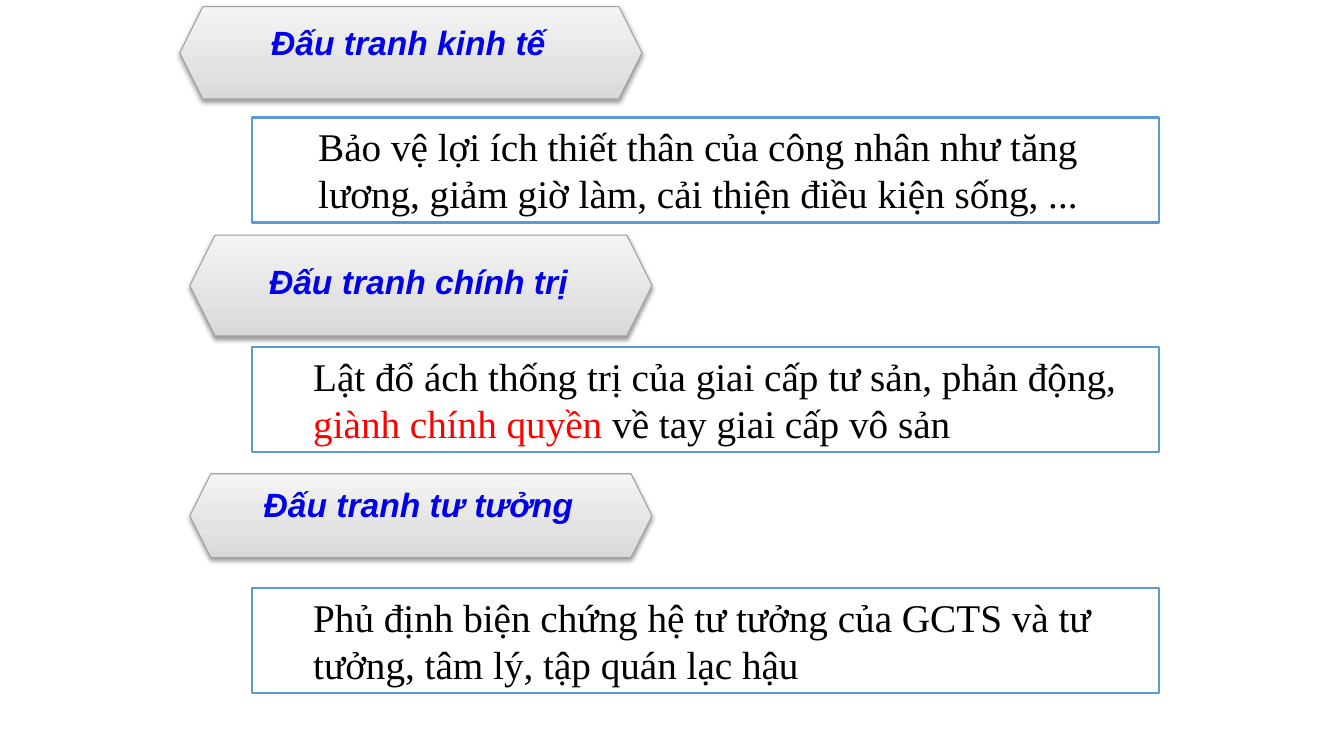
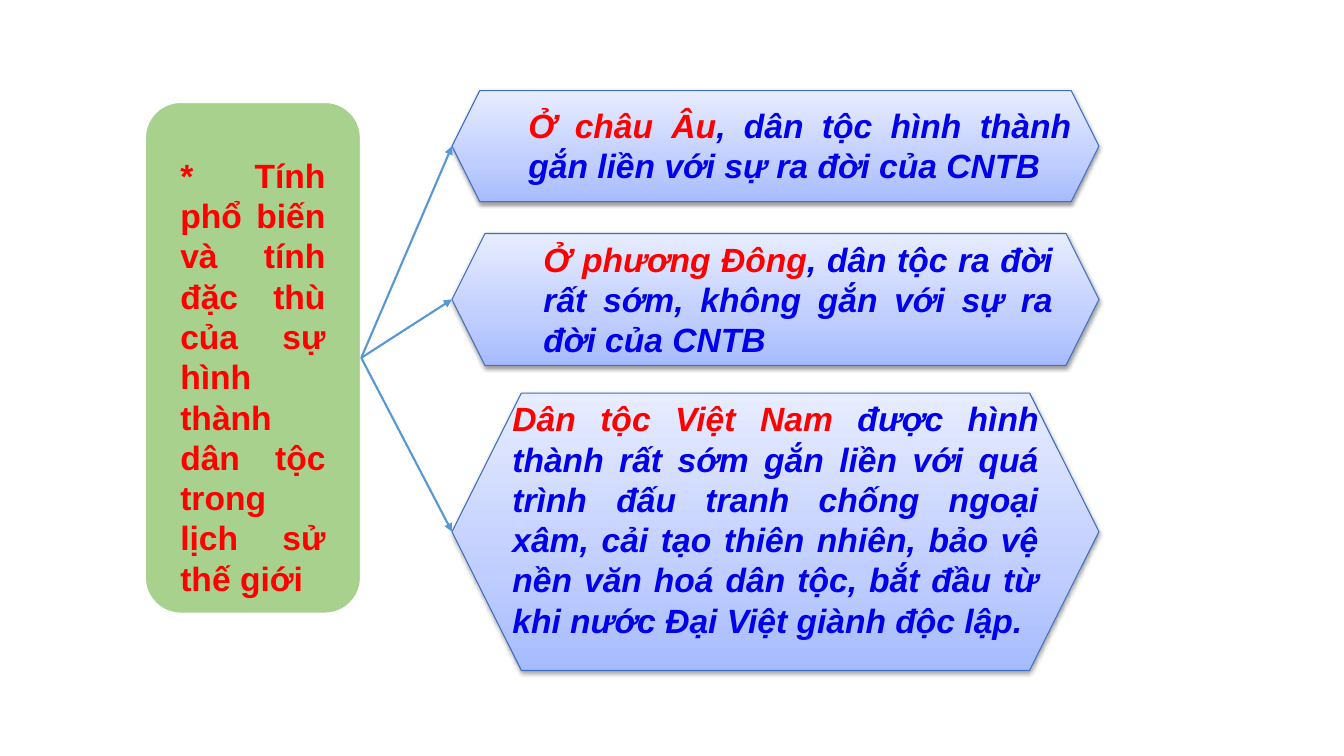
from copy import deepcopy

from lxml.etree import SubElement
from pptx import Presentation
from pptx.dml.color import RGBColor
from pptx.enum.shapes import MSO_CONNECTOR, MSO_SHAPE
from pptx.enum.text import MSO_ANCHOR, PP_ALIGN
from pptx.oxml.ns import qn
from pptx.util import Emu, Inches, Pt

COLS, ROWS = 160, 90  # square grid cells across and down the slide
WIDTH, HEIGHT = Inches(13.33), Inches(7.5)
CELL = HEIGHT / ROWS

COLORS = {
    "black": "000000", "red": "FF0000", "blue": "0000EA", "white": "FFFFFF",
    "frame": "5B9BD5", "arrow": "5698D3", "panel": "A9D18E",
}
HEXAGONS = {
    "gray": {"stops": ((0, "D8D8D8"), (0.35, "E3E3E3"), (1, "F4F4F4")), "line": "A1A1A1"},
    "blue": {"stops": ((0, "A6BBFF"), (0.35, "C0CEFF"), (1, "E7ECFF")), "line": "3F6FC3"},
}
DETAIL = {"name": "Times New Roman", "size": Pt(28)}
PANEL = {"name": "Arial", "size": Pt(24), "bold": True}
HEADING = {**PANEL, "italic": True}

STRUGGLES = [  # hexagon box, label drop, heading, detail top, detail indent, detail runs
    ((21.4, 0.8, 55, 11), 1.2, "Đấu tranh kinh tế", 14, 6.7,
     [("Bảo vệ lợi ích thiết thân của công nhân như tăng lương, giảm giờ làm, "
       "cải thiện điều kiện sống, ...", "black")]),
    ((22.6, 28, 55, 12), 2.5, "Đấu tranh chính trị", 41.3, 6.1,
     [("Lật đổ ách thống trị của giai cấp tư sản, phản động, ", "black"),
      ("giành chính quyền ", "red"), ("về tay giai cấp vô sản", "black")]),
    ((22.6, 56.4, 55, 10), 0.6, "Đấu tranh tư tưởng", 70, 6.1,
     [("Phủ định biện chứng hệ tư tưởng của GCTS và tư tưởng, tâm lý, "
       "tập quán lạc hậu", "black")]),
]
NATION_FEATURE = ("* Tính phổ biến và tính đặc thù của sự hình thành dân tộc "
                  "trong lịch sử thế giới")
REGIONS = [  # hexagon top, height, text offset and width, runs
    (10.8, 13.2, (7.9, 1.1, 67),
     [("Ở châu Âu", "red"),
      (", dân tộc hình thành gắn liền với sự ra đời của CNTB", "blue")]),
    (27.8, 15.7, (9.7, 0, 63),
     [("Ở phương Đông", "red"),
      (", dân tộc ra đời rất sớm, không gắn với sự ra đời của CNTB", "blue")]),
    (46.8, 33, (6, 0, 65),
     [("Dân tộc Việt Nam ", "red"),
      ("được hình thành rất sớm gắn liền với quá trình đấu tranh chống ngoại xâm, "
       "cải tạo thiên nhiên, bảo vệ nền văn hoá dân tộc, bắt đầu từ khi nước "
       "Đại Việt giành độc lập.", "blue")]),
]


def cells(*lengths):
    return [Emu(round(n * CELL)) for n in lengths]


def rgb(name):
    return RGBColor.from_string(COLORS.get(name, name))


def set_line(sp, color, width):
    sp.line.color.rgb = rgb(color)
    sp.line.width = Pt(width)


def write(sp, runs, style, align, indent=0):
    """Fill a shape with one paragraph of (text, colour) runs."""
    tf = sp.text_frame
    tf.word_wrap = True
    p = tf.paragraphs[0]
    p.alignment = align
    if indent:
        p._p.get_or_add_pPr().set("marL", str(cells(indent)[0]))
    for text, color in runs:
        r = p.add_run()
        r.text = text
        for key, value in style.items():
            setattr(r.font, key, value)
        r.font.color.rgb = rgb(color)


def add_label(slide, box, runs, align):
    write(slide.shapes.add_textbox(*cells(*box)), runs, HEADING, align)


def add_hexagon(slide, box, look):
    """Hexagon with a three-stop vertical gradient and a soft drop shadow."""
    sp = slide.shapes.add_shape(MSO_SHAPE.HEXAGON, *cells(*box))
    set_line(sp, look["line"], 0.75)
    sp.fill.gradient()
    sp.fill.gradient_angle = 90
    spPr = sp._element.spPr
    stops = spPr.find(qn("a:gradFill")).find(qn("a:gsLst"))
    stops.insert(1, deepcopy(stops[0]))
    for stop, (position, color) in zip(sp.fill.gradient_stops, look["stops"]):
        stop.position = position
        stop.color.rgb = rgb(color)
    sp.shadow.inherit = False
    shadow = SubElement(spPr.find(qn("a:effectLst")), qn("a:outerShdw"), blurRad="40000",
                        dist="20000", dir="5400000", rotWithShape="0")
    color = SubElement(shadow, qn("a:srgbClr"), val=COLORS["black"])
    SubElement(color, qn("a:alpha"), val="38000")


def add_detail(slide, box, runs, indent):
    sp = slide.shapes.add_shape(MSO_SHAPE.RECTANGLE, *cells(*box))
    sp.shadow.inherit = False
    sp.fill.background()
    set_line(sp, "frame", 1.5)
    sp.text_frame.vertical_anchor = MSO_ANCHOR.TOP
    write(sp, runs, DETAIL, PP_ALIGN.LEFT, indent)


def add_panel(slide, box):
    sp = slide.shapes.add_shape(MSO_SHAPE.ROUNDED_RECTANGLE, *cells(*box))
    sp.shadow.inherit = False
    sp.fill.solid()
    sp.fill.fore_color.rgb = rgb("panel")
    set_line(sp, "white", 2)
    tf = sp.text_frame
    margins = dict(zip(("left", "top", "right", "bottom"), cells(3, 4.4, 3, 0)))
    for side, margin in margins.items():
        setattr(tf, f"margin_{side}", margin)
    tf.vertical_anchor = MSO_ANCHOR.MIDDLE
    write(sp, [(NATION_FEATURE, "red")], PANEL, PP_ALIGN.JUSTIFY)
    return sp


def add_arrow(slide, panel, x, y):
    """Arrow from the right side of the panel to a grid point."""
    line = slide.shapes.add_connector(MSO_CONNECTOR.STRAIGHT, 0, 0, *cells(x, y))
    line.begin_connect(panel, 3)
    set_line(line, "arrow", 1.5)
    SubElement(line.line._get_or_add_ln(), qn("a:tailEnd"), type="triangle")
    SubElement(line._element.spPr, qn("a:effectLst"))


def build_struggles(slide):
    for box, drop, heading, top, indent, runs in STRUGGLES:
        left, hex_top = box[:2]
        add_hexagon(slide, box, HEXAGONS["gray"])
        add_label(slide, (left + 2.7, hex_top + drop, 49, 6.1),
                  [(heading, "blue")], PP_ALIGN.CENTER)
        add_detail(slide, (30, top, 108, 12.5), runs, indent)


def build_nation(slide):
    left, width = 53.8, 77
    panel = add_panel(slide, (17.2, 12.1, 25.8, 61))
    for top, height, (dx, dy, text_width), runs in REGIONS:
        add_hexagon(slide, (left, top, width, height), HEXAGONS["blue"])
        add_label(slide, (left + dx, top + dy, text_width, height - 2 * dy),
                  runs, PP_ALIGN.JUSTIFY)
        add_arrow(slide, panel, left, top + height / 2)


def main():
    prs = Presentation()
    prs.slide_width, prs.slide_height = WIDTH, HEIGHT
    for build in (build_struggles, build_nation):
        build(prs.slides.add_slide(prs.slide_layouts[6]))
    prs.save("out.pptx")


if __name__ == "__main__":
    main()
